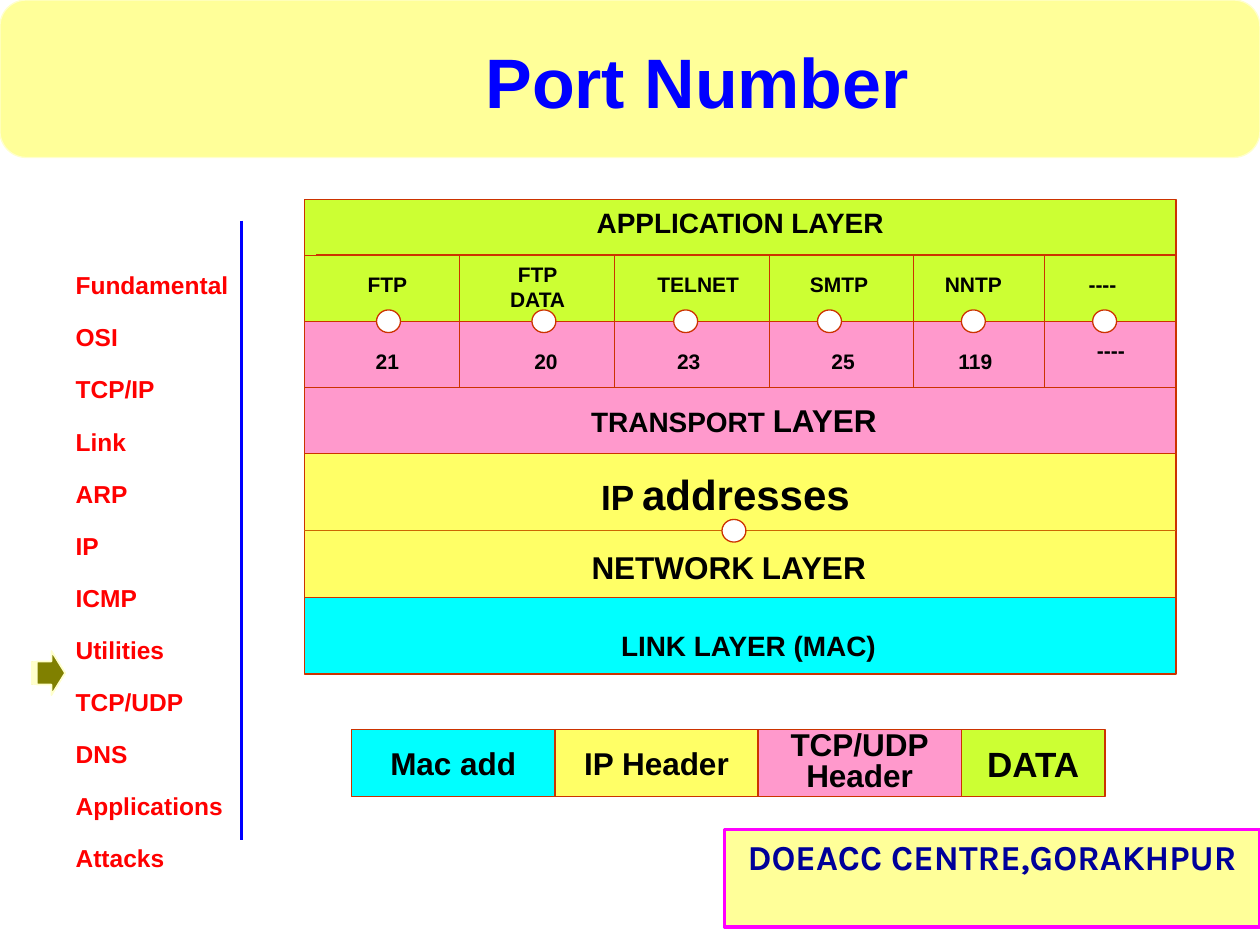
from itertools import pairwise

from lxml.etree import SubElement
from pptx import Presentation
from pptx.dml.color import RGBColor
from pptx.enum.shapes import MSO_CONNECTOR as CONNECTOR, MSO_SHAPE as SHAPE
from pptx.enum.text import MSO_ANCHOR as ANCHOR, MSO_AUTO_SIZE as AUTO_SIZE, PP_ALIGN as ALIGN
from pptx.oxml.ns import qn
from pptx.util import Inches, Pt

COLORS = {
    "banner": "FFFF99", "banner edge": "FFFFCC", "title": "0000FF",
    "topic": "FF0000", "footer": "000099", "footer edge": "FF00FF",
    "arrow": "808000", "text": "000000", "dot": "FFFFFF",
    "edge": "CC3300", "divider": "CC6600",
    "application": "CCFF33", "transport": "FF99CC",
    "network": "FFFF66", "link": "00FFFF",
}

TOPICS = ["Fundamental", "OSI", "TCP/IP", "Link", "ARP", "IP", "ICMP", "Utilities",
          "TCP/UDP", "DNS", "Applications", "Attacks"]

# Stack geometry, in grid cells: 120 columns by 90 rows
STACK_LEFT, STACK_RIGHT = 29, 112
PORT_EDGES = [STACK_LEFT, 43.8, 58.5, 73.3, 87, 99.5, STACK_RIGHT]
PORT_TOP, PORT_MIDDLE, PORT_BOTTOM = 24.3, 30.6, 36.9
NETWORK_SPLIT = 50.55
LAYERS = [("application", 19, PORT_MIDDLE), ("transport", PORT_MIDDLE, 43.2),
          ("link", 56.9, 64.2), ("network", 43.2, 56.9)]

# Each heading: pieces with their sizes, centre column, top row
HEADINGS = [
    ([("APPLICATION LAYER", 16)], 70.5, 19),
    ([("TRANSPORT ", 16), ("LAYER", 18)], 69.9, 37.6),
    ([("IP", 20), (" ", 16), ("addresses", 24)], 69.1, 44),
    ([("NETWORK", 18), (" ", 16), ("LAYER", 18)], 69.4, 51.6),
    ([("LINK LAYER (MAC)", 16)], 71.3, 59.3),
]

# Service, port, then the centre columns of service, port and dot
PORTS = [
    ("FTP", "21", 36.9, 36.9, 37),
    ("FTP\nDATA", "20", 51.2, 52, 51.8),
    ("TELNET", "23", 66.5, 65.6, 65.3),
    ("SMTP", "25", 79.9, 80.3, 79),
    ("NNTP", "119", 92.7, 92.9, 92.7),
    ("----", "----", 105, 105.8, 105.2),
]

# Packet part, layer colour, width, text size, line spacing
PACKET = [
    ("Mac add", "link", 19.35, 18, 1),
    ("IP Header", "network", 19.35, 18, 1),
    ("TCP/UDP\nHeader", "transport", 19.35, 18, 0.8),
    ("DATA", "application", 13.7, 20, 1),
]


def cell(count):
    return Inches(count / 12)


def cells(*counts):
    return [cell(count) for count in counts]


def color(name):
    return RGBColor.from_string(COLORS[name])


def style_span(span, size, name="text", font="Arial"):
    span.font.size = Pt(size)
    span.font.name = font
    span.font.bold = True
    span.font.color.rgb = color(name)


def write(shape, text, size, name="text", font="Arial", align=ALIGN.CENTER, spacing=1):
    frame = shape.text_frame
    frame.text = text
    for para in frame.paragraphs:
        para.alignment = align
        para.line_spacing = spacing
        para.space_before = Pt(0)
        for span in para.runs:
            style_span(span, size, name, font)


def paint(shape, fill, edge="edge", width=0.75):
    shape.shadow.inherit = False
    if fill:
        shape.fill.solid()
        shape.fill.fore_color.rgb = color(fill)
    else:
        shape.fill.background()
    shape.line.color.rgb = color(edge)
    shape.line.width = Pt(width)


def add_block(shapes, area, fill, edge="edge", width=0.75, kind=SHAPE.RECTANGLE):
    block = shapes.add_shape(kind, *cells(*area))
    paint(block, fill, edge, width)
    return block


def add_line(shapes, start, end, name="edge", width=0.75):
    line = shapes.add_connector(CONNECTOR.STRAIGHT, *cells(*start, *end))
    line.line.color.rgb = color(name)
    line.line.width = Pt(width)
    SubElement(line._element.spPr, qn("a:effectLst"))
    return line


def add_dot(shapes, center, middle):
    width, height = 2.28, 2.16
    area = (center - width / 2, middle - height / 2, width, height)
    add_block(shapes, area, "dot", kind=SHAPE.FLOWCHART_CONNECTOR)


def add_label(shapes, center, top, width, height):
    box = shapes.add_textbox(*cells(center - width / 2, top, width, height))
    box.text_frame.word_wrap = True
    return box


def place(holder, *area):
    holder.left, holder.top, holder.width, holder.height = cells(*area)
    holder.text_frame.auto_size = AUTO_SIZE.NONE


def add_title(page):
    title = page.shapes.title
    place(title, 17.9, 3, 97, 9.25)
    title.text_frame.vertical_anchor = ANCHOR.BOTTOM
    write(title, "Port Number", 40, "title")
    banner = add_block(page.shapes, (0, 0, 120, 15), "banner", "banner edge",
                       kind=SHAPE.FLOWCHART_ALTERNATE_PROCESS)
    title.element.addprevious(banner.element)  # behind the title


def add_topics(page):
    body = page.placeholders[1]
    place(body, 6, 23, 21, 59)
    write(body, "\n".join(TOPICS), 14, "topic", align=ALIGN.LEFT, spacing=1.77)
    for para in body.text_frame.paragraphs:
        props = para._p.get_or_add_pPr()
        props.set("marL", "0")
        props.set("indent", "0")
        SubElement(props, qn("a:buNone"))
    add_line(page.shapes, (23, 21), (23, 80), "title", 1.5)


def add_arrow(page):
    head = [(3.5, 63), (4.9, 63), (4.9, 62), (6.2, 64.1), (4.9, 66.2), (4.9, 65.2), (3.5, 65.2)]
    stripes = [[(left, 63), (right, 63), (right, 65.2), (left, 65.2)]
               for left, right in [(3, 3.1), (3.25, 3.4)]]
    builder = page.shapes.build_freeform(*cells(*head[0]))
    builder.add_line_segments([cells(*point) for point in head[1:]])
    for stripe in stripes:
        builder.move_to(*cells(*stripe[0]))
        builder.add_line_segments([cells(*point) for point in stripe[1:]])
    paint(builder.convert_to_shape(), "arrow", "banner edge", 1)


def add_stack(page):
    shapes = page.shapes.add_group_shape().shapes
    for name, top, bottom in LAYERS:
        add_block(shapes, (STACK_LEFT, top, STACK_RIGHT - STACK_LEFT, bottom - top), name)

    # Dividers and port columns
    add_line(shapes, (STACK_LEFT, NETWORK_SPLIT), (STACK_RIGHT, NETWORK_SPLIT), "divider")
    add_line(shapes, (30.1, PORT_TOP), (STACK_RIGHT, PORT_TOP))
    columns = [add_block(shapes, (left, PORT_TOP, right - left, PORT_BOTTOM - PORT_TOP), None)
               for left, right in pairwise(PORT_EDGES)]
    divider = add_line(shapes, (STACK_LEFT, PORT_MIDDLE), (STACK_RIGHT, PORT_MIDDLE))
    divider.begin_connect(columns[0], 1)
    divider.end_connect(columns[-1], 3)

    # Layer headings
    for pieces, center, top in HEADINGS:
        para = add_label(shapes, center, top, 37.5, 4.8).text_frame.paragraphs[0]
        para.alignment = ALIGN.CENTER
        for text, size in pieces:
            span = para.add_run()
            span.text = text
            style_span(span, size)

    # Services, ports and the dots between them
    for service, port, service_center, port_center, dot_center in PORTS:
        service_top = PORT_TOP if "\n" in service else 25.3
        port_top = 32.6 if port.isdigit() else 31.6
        write(add_label(shapes, service_center, service_top, 10.2, 3.6), service, 12)
        write(add_label(shapes, port_center, port_top, 6, 3.6), port, 12)
        add_dot(shapes, dot_center, PORT_MIDDLE)
    add_dot(shapes, 69.9, NETWORK_SPLIT)


def add_packet(page):
    shapes = page.shapes.add_group_shape().shapes
    left = 33.5
    for text, name, width, size, spacing in PACKET:
        block = add_block(shapes, (left, 69.5, width, 6.35), name)
        block.text_frame.word_wrap = False
        block.text_frame.vertical_anchor = ANCHOR.MIDDLE
        write(block, text, size, spacing=spacing)
        left += width


def add_footer(page):
    footer = add_block(page.shapes, (69, 79, 51, 9.25), "banner", "footer edge", 2.25)
    footer.text_frame.vertical_anchor = ANCHOR.TOP
    write(footer, "DOEACC CENTRE,GORAKHPUR", 20, "footer", "Karla")


def main():
    deck = Presentation()
    deck.slide_width, deck.slide_height = cells(120, 90)
    page = deck.slides.add_slide(deck.slide_layouts[1])
    for add_part in (add_title, add_topics, add_footer, add_arrow, add_stack, add_packet):
        add_part(page)
    deck.save("out.pptx")


if __name__ == "__main__":
    main()
